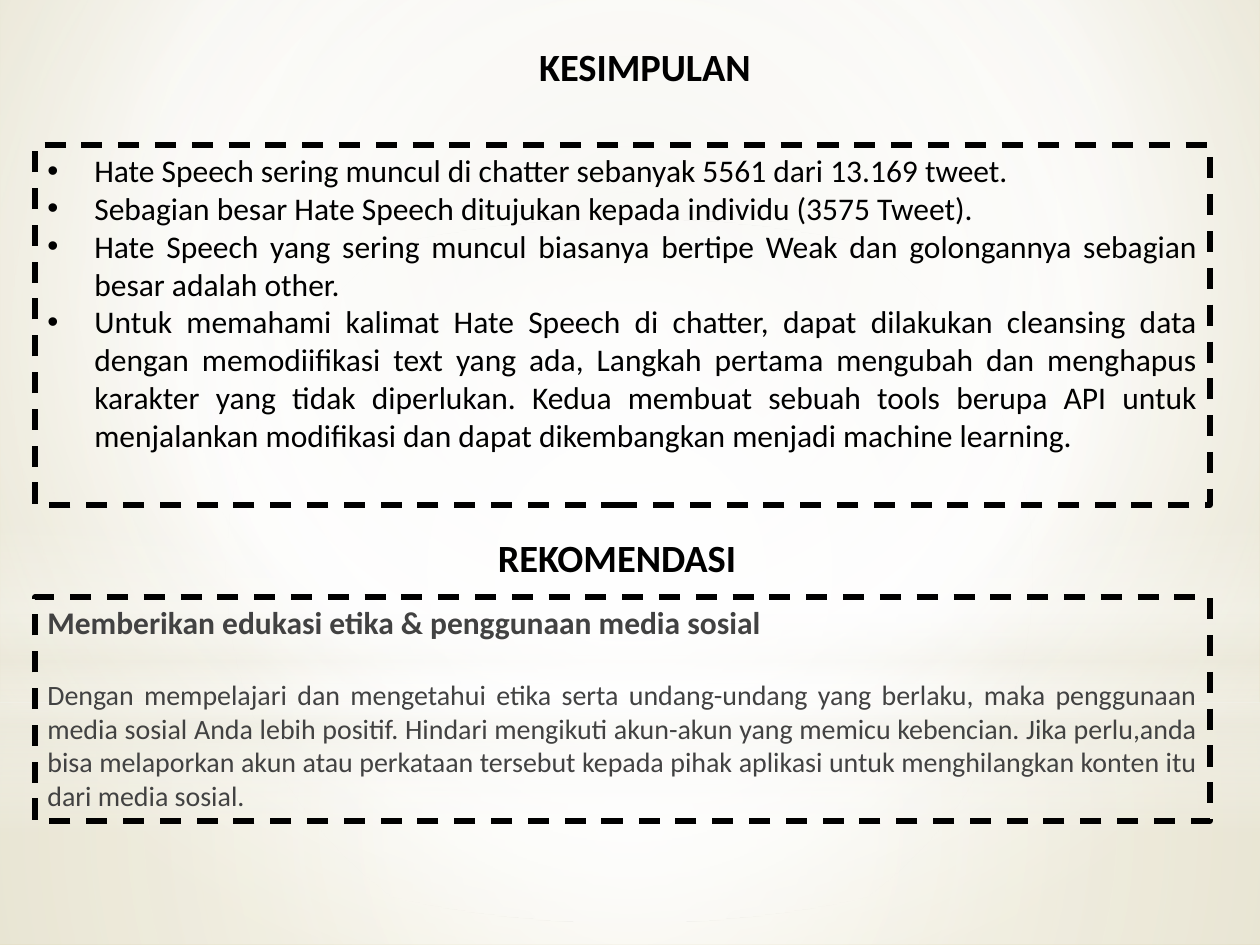
import pptx
import pptx.util
import pptx.dml.color
import pptx.enum.dml
import pptx.enum.shapes
import pptx.enum.text
import pptx.oxml
import pptx.oxml.ns

EMU = 914400 // 126
qn = pptx.oxml.ns.qn
kind = pptx.enum.shapes.MSO_SHAPE
align = pptx.enum.text.PP_ALIGN
Pt = pptx.util.Pt


def color(code):
    return pptx.dml.color.RGBColor.from_string(code)


def shade(fill, root, stops, form):
    fill.solid()
    old = next(root.iter(qn("a:solidFill")))
    marks = "".join(
        f'<a:gs pos="{pos * 1000}"><a:srgbClr val="{code}">'
        f'<a:alpha val="{alpha * 1000}"/></a:srgbClr></a:gs>'
        for pos, code, alpha in stops
    )
    if form == "down":
        tail = '<a:lin ang="5400000" scaled="0"/>'
    else:
        left, top, right, low = [n * 1000 for n in form]
        tail = (f'<a:path path="circle"><a:fillToRect l="{left}" t="{top}" '
                f'r="{right}" b="{low}"/></a:path>')
    grad = pptx.oxml.parse_xml(
        f'<a:gradFill {pptx.oxml.ns.nsdecls("a")} rotWithShape="1">'
        f'<a:gsLst>{marks}</a:gsLst>{tail}</a:gradFill>')
    old.getparent().replace(old, grad)


deck = pptx.Presentation()
deck.slide_width = pptx.util.Inches(10)
deck.slide_height = pptx.util.Inches(7.5)
slide = deck.slides.add_slide(deck.slide_layouts[6])
shapes = slide.shapes

shade(slide.background.fill, slide.element,
      [(0, "E7E4D4", 100), (60, "FFFFFF", 100), (100, "D5CC9F", 100)],
      (20, 10, 20, 60))

mid = (50, 50, 50, 50)
layers = [
    (kind.RECTANGLE, 703, 242, mid,
     [(0, "FFFFFF", 91), (37, "FFFFFF", 76), (100, "EEECE1", 79)]),
    (kind.RECTANGLE, 0, 703, mid,
     [(0, "FFFFFF", 89), (48, "FFFFFF", 62), (100, "EEECE1", 79)]),
    (kind.RECTANGLE, 519, 315, "down",
     [(0, "FFFFFF", 0), (29, "FFFFFF", 30), (45, "EEECE1", 40),
      (55, "FFFFFF", 26), (65, "EEECE1", 60), (100, "FFFFFF", 0)]),
    (kind.OVAL, 220, 703, mid,
     [(0, "FFFFFF", 100), (56, "FFFFFF", 0)]),
]
for form, top, high, way, stops in layers:
    layer = shapes.add_shape(form, 0, top * EMU, 1260 * EMU, high * EMU)
    layer.shadow.inherit = False
    layer.line.fill.background()
    shade(layer.fill, layer.element, stops, way)

title = {"size": Pt(22), "bold": True, "ink": "000000", "align": align.CENTER}
point = {"size": Pt(18), "bold": False, "ink": "000000",
         "align": align.JUSTIFY, "bullet": True}
lead = {"size": Pt(18), "bold": True, "ink": "424242", "align": align.LEFT}
body = {"size": Pt(16), "bold": False, "ink": "424242",
        "align": align.JUSTIFY, "before": Pt(21)}

blocks = [
    (471, 37, 348, 74, False, [("KESIMPULAN", title)]),
    (35, 145, 1175, 360, True, [
        ("Hate Speech sering muncul di chatter sebanyak 5561 dari "
         "13.169 tweet.", point),
        ("Sebagian besar Hate Speech ditujukan kepada individu "
         "(3575 Tweet).", point),
        ("Hate Speech yang sering muncul biasanya bertipe Weak dan "
         "golongannya sebagian besar adalah other.", point),
        ("Untuk memahami kalimat Hate Speech di chatter, dapat dilakukan "
         "cleansing data dengan memodiifikasi text yang ada, Langkah pertama "
         "mengubah dan menghapus karakter yang tidak diperlukan. Kedua "
         "membuat sebuah tools berupa API untuk menjalankan modifikasi dan "
         "dapat dikembangkan menjadi machine learning.", point),
    ]),
    (443, 528, 348, 74, False, [("REKOMENDASI", title)]),
    (35, 597, 1175, 224, True, [
        ("Memberikan edukasi etika & penggunaan media sosial", lead),
        ("Dengan mempelajari dan mengetahui etika serta undang-undang yang "
         "berlaku, maka penggunaan media sosial Anda lebih positif. Hindari "
         "mengikuti akun-akun yang memicu kebencian. Jika perlu,anda bisa "
         "melaporkan akun atau perkataan tersebut kepada pihak aplikasi untuk "
         "menghilangkan konten itu dari media sosial.", body),
    ]),
]
for left, top, wide, high, framed, lines in blocks:
    place = [n * EMU for n in (left, top, wide, high)]
    if framed:
        box = shapes.add_shape(kind.RECTANGLE, *place)
        box.shadow.inherit = False
        box.fill.background()
        box.line.color.rgb = color("000000")
        box.line.width = Pt(3)
        box.line.dash_style = pptx.enum.dml.MSO_LINE.DASH
    else:
        box = shapes.add_textbox(*place)
    frame = box.text_frame
    frame.word_wrap = True
    frame.vertical_anchor = pptx.enum.text.MSO_ANCHOR.TOP
    for num, (text, look) in enumerate(lines):
        para = frame.add_paragraph() if num else frame.paragraphs[0]
        para.alignment = look["align"]
        para.space_before = look.get("before", 0)
        if look.get("bullet"):
            prop = para._p.get_or_add_pPr()
            for name, value in {"marL": 47, "indent": -47}.items():
                prop.set(name, str(value * EMU))
            for tag, name, value in (("a:buFont", "typeface", "Arial"),
                                     ("a:buChar", "char", "•")):
                mark = pptx.oxml.parse_xml(
                    f'<{tag} {pptx.oxml.ns.nsdecls("a")} {name}="{value}"/>')
                prop.append(mark)
        run = para.add_run()
        run.text = text
        for name, value in {"name": "Calibri", "size": look["size"],
                            "bold": look["bold"]}.items():
            setattr(run.font, name, value)
        run.font.color.rgb = color(look["ink"])

deck.save("out.pptx")
